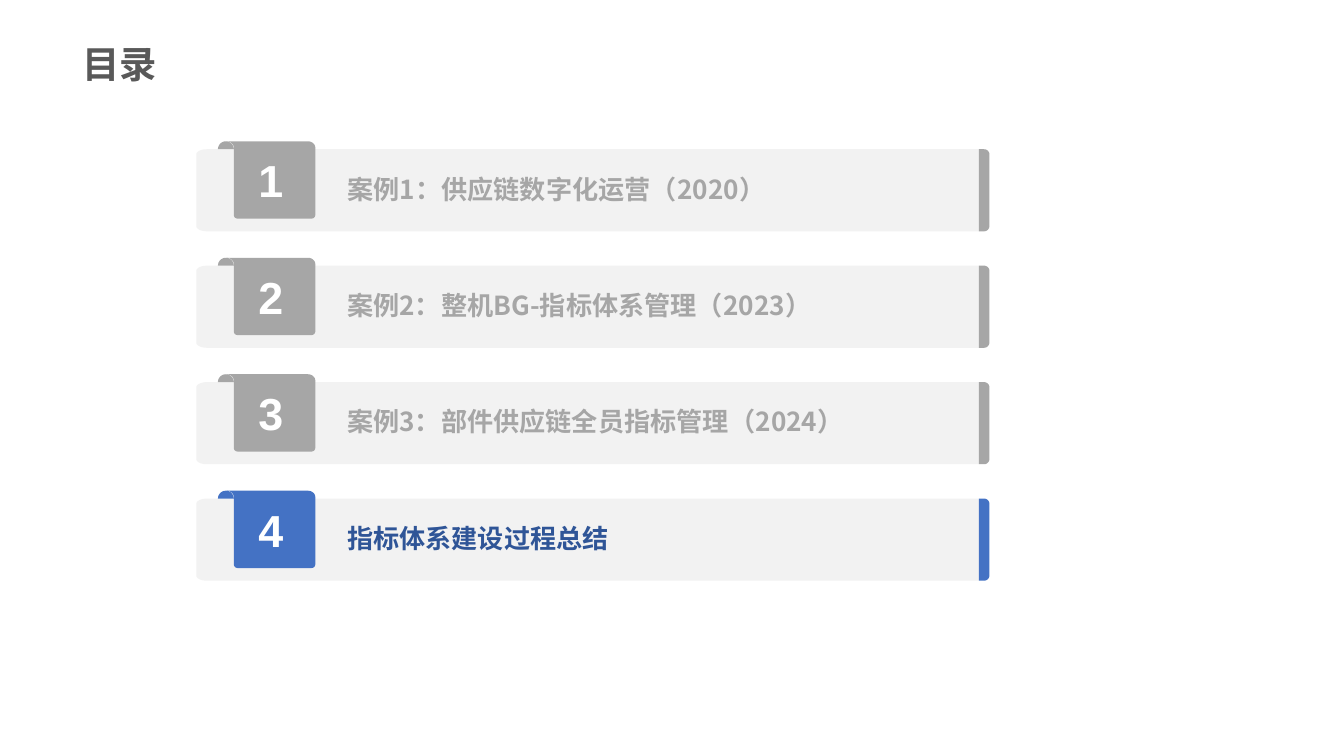
import math
import pptx
import pptx.dml.color
import pptx.enum.text
import pptx.oxml.ns
import pptx.util
from lxml import etree

Cm, Pt = pptx.util.Cm, pptx.util.Pt
Anchor = pptx.enum.text.MSO_ANCHOR
Align = pptx.enum.text.PP_ALIGN
qn = pptx.oxml.ns.qn

TITLE = "目录"
ITEMS = [
    ("案例1：供应链数字化运营（2020）", "past"),
    ("案例2：整机BG-指标体系管理（2023）", "past"),
    ("案例3：部件供应链全员指标管理（2024）", "past"),
    ("指标体系建设过程总结", "now"),
]

THEME = {
    "fill": {"bar": "F2F2F2", "past": "A6A6A6", "now": "4472C4"},
    "label": {"past": "A6A6A6", "now": "2F5597"},
    "title": "595959",
    "digit": "FFFFFF",
    "size": {"title": 20, "label": 14, "digit": 24},
    "face": {"text": "Noto Sans CJK SC", "digit": "Arial"},
}

# Outlines in cm: x, y below the row's top, corner radius across and down
BAR = [(3.71, 0, 0.2, 0.1), (18.5, 0, 0, 0),
       (18.5, 1.55, 0, 0), (3.71, 1.55, 0.2, 0.1)]
CAP = [(18.5, 0, 0, 0), (18.7, 0, 0.1, 0.1),
       (18.7, 1.55, 0.1, 0.1), (18.5, 1.55, 0, 0)]
TAB = [(4.28, -0.15, 0, 0), (5.96, -0.15, 0.14, 0.12),
       (5.96, 1.31, 0.07, 0.07), (4.42, 1.31, 0.07, 0.07),
       (4.42, -0.15, 0.14, 0.12)]
FOLD = [(4.12, 0, 0, 0), (4.12, -0.15, 0.15, 0.15),
        (4.42, -0.15, 0.15, 0.15), (4.42, 0, 0, 0)]

TOP, PITCH = 2.82, 2.2
STEPS = 8


def rgb(code):
    return pptx.dml.color.RGBColor.from_string(code)


def trace(outline):
    """Turn corners with radii into a list of points."""
    points = []
    for i, (x, y, rx, ry) in enumerate(outline):
        if not rx:
            points.append((x, y))
            continue
        sides = []
        for near in (outline[i - 1], outline[(i + 1) % len(outline)]):
            dx, dy = near[0] - x, near[1] - y
            sides.append((math.copysign(rx, dx) if dx else 0,
                          math.copysign(ry, dy) if dy else 0))
        (ax, ay), (bx, by) = sides
        for k in range(STEPS + 1):
            turn = math.pi / 2 * k / STEPS
            a, b = 1 - math.sin(turn), 1 - math.cos(turn)
            points.append((x + a * ax + b * bx, y + a * ay + b * by))
    return points


def draw(slide, outline, top, fill):
    points = [(Cm(x), Cm(top + y)) for x, y in trace(outline)]
    pen = slide.shapes.build_freeform(*points[0])
    pen.add_line_segments(points[1:], close=True)
    shape = pen.convert_to_shape()
    shape.shadow.inherit = False
    shape.fill.solid()
    shape.fill.fore_color.rgb = rgb(fill)
    shape.line.fill.background()
    return shape


def place(shape, left, top, width, height):
    box = {"left": left, "top": top, "width": width, "height": height}
    for name, value in box.items():
        setattr(shape, name, Cm(value))


def write(shape, text, role, color, anchor, align=Align.LEFT):
    face = THEME["face"]["digit" if role == "digit" else "text"]
    frame = shape.text_frame
    frame.text = text
    para = frame.paragraphs[0]
    run = para.runs[0]
    looks = [
        (frame, {"word_wrap": True, "vertical_anchor": anchor,
                 "auto_size": pptx.enum.text.MSO_AUTO_SIZE.NONE}),
        (para, {"alignment": align, "space_before": Pt(0),
                "line_spacing": 1.0 if role == "digit" else 0.9}),
        (run.font, {"size": Pt(THEME["size"][role]), "bold": True,
                    "name": face}),
    ]
    for target, values in looks:
        for name, value in values.items():
            setattr(target, name, value)
    run.font.color.rgb = rgb(color)
    east = etree.SubElement(run._r.get_or_add_rPr(), qn("a:ea"))
    east.set("typeface", face)


def main():
    deck = pptx.Presentation()
    deck.slide_width, deck.slide_height = Cm(25.4), Cm(14.28)
    slide = deck.slides.add_slide(deck.slide_layouts[0])

    title = slide.shapes.title
    place(title, 1.3, 0.74, 7.6, 1.35)
    write(title, TITLE, "title", THEME["title"], Anchor.TOP)

    for i, (text, state) in enumerate(ITEMS):
        top = TOP + i * PITCH
        fill = THEME["fill"][state]
        draw(slide, BAR, top, THEME["fill"]["bar"])
        draw(slide, CAP, top, fill)
        tab = draw(slide, TAB, top, fill)
        write(tab, str(i + 1), "digit", THEME["digit"],
              Anchor.MIDDLE, Align.CENTER)
        draw(slide, FOLD, top, fill)

        if i == 0:
            label = slide.placeholders[1]
            slide.shapes._spTree.append(label._element)  # above its bar
        else:
            label = slide.shapes.add_textbox(0, 0, 0, 0)
        place(label, 6.31, top + 0.08, 12.17, 1.4)
        write(label, text, "label", THEME["label"][state], Anchor.MIDDLE)

    deck.save("out.pptx")


if __name__ == "__main__":
    main()
